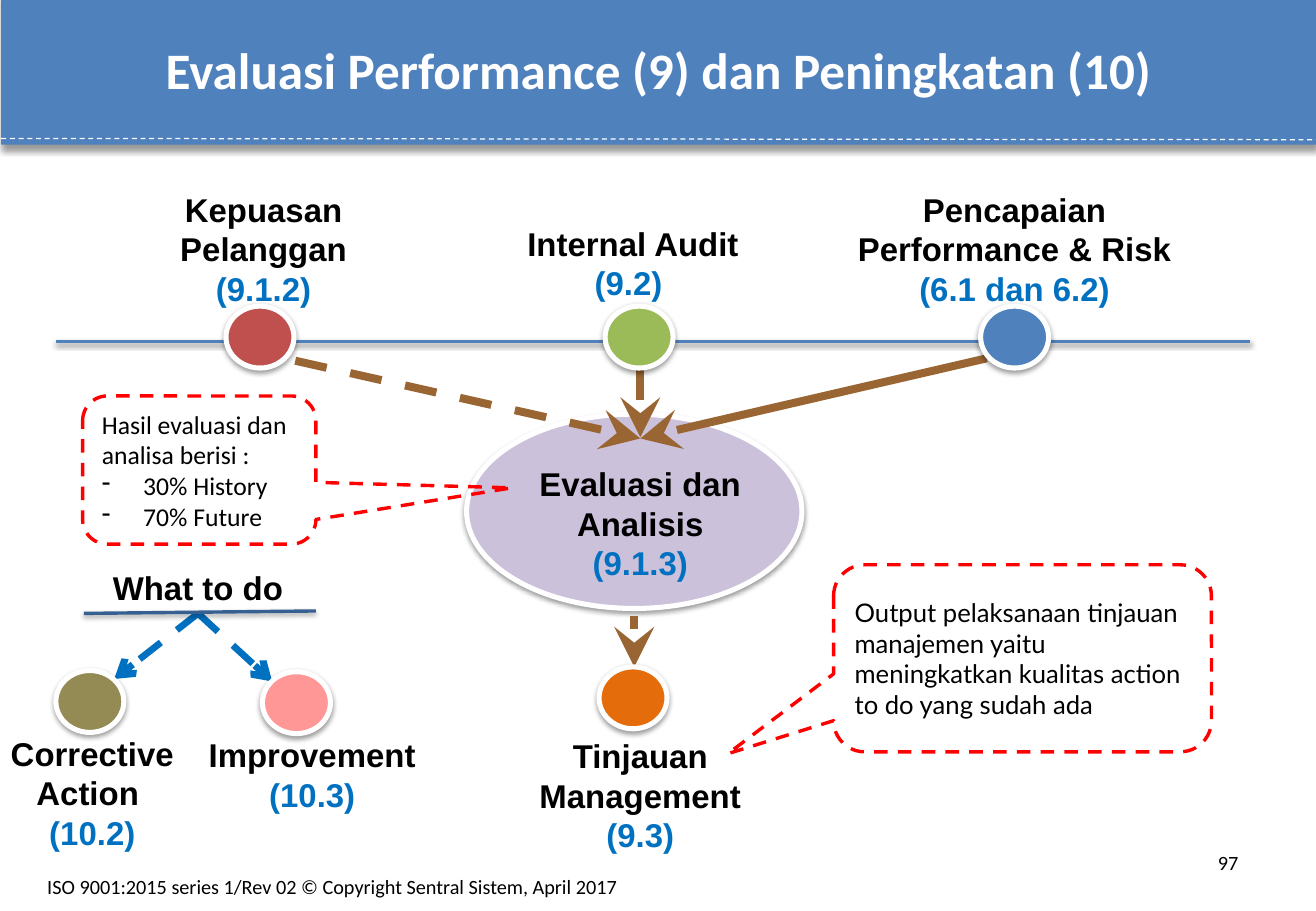
from lxml import etree
from pptx import Presentation
from pptx.dml.color import RGBColor
from pptx.enum.dml import MSO_LINE
from pptx.enum.shapes import MSO_CONNECTOR, MSO_SHAPE
from pptx.enum.text import MSO_ANCHOR, MSO_AUTO_SIZE, PP_ALIGN
from pptx.oxml.ns import qn
from pptx.util import Inches, Pt

STRAIGHT = MSO_CONNECTOR.STRAIGHT
OVAL = MSO_SHAPE.OVAL
CALLOUT = MSO_SHAPE.ROUNDED_RECTANGULAR_CALLOUT
DASH = MSO_LINE.DASH
MIDDLE = MSO_ANCHOR.MIDDLE
FIXED = MSO_AUTO_SIZE.NONE
LEFT, CENTER, RIGHT = PP_ALIGN.LEFT, PP_ALIGN.CENTER, PP_ALIGN.RIGHT

BLACK, WHITE, RED = "000000", "FFFFFF", "FF0000"
BLUE, BROWN, AZURE = "4F81BD", "996633", "0070C0"
SOFT = (38, 3.1, 1.6)


def color(code):
    return RGBColor.from_string(code)


def shade(shape, look=None):
    props = shape._element.spPr
    effect = etree.SubElement(props, qn("a:effectLst"))
    if look:
        alpha, blur, dist = look
        outer = etree.SubElement(effect, qn("a:outerShdw"), blurRad=str(Pt(blur)),
                                 dist=str(Pt(dist)), dir="5400000", rotWithShape="0")
        tint = etree.SubElement(outer, qn("a:srgbClr"), val=BLACK)
        etree.SubElement(tint, qn("a:alpha"), val=str(alpha * 1000))


def stroke(shape, code, width, dash=None):
    shape.line.color.rgb = color(code)
    shape.line.width = Pt(width)
    if dash:
        shape.line.dash_style = dash


def write(para, text, size, face, code=BLACK, bold=False):
    run = para.add_run()
    run.text = text
    run.font.size = Pt(size)
    run.font.name = face
    run.font.bold = bold
    run.font.color.rgb = color(code)


def rule(slide, start, end, code, width, dash=None, head=None, scale="med", look=None):
    ends = [Inches(v) for v in start + end]
    line = slide.shapes.add_connector(STRAIGHT, *ends)
    stroke(line, code, width, dash)
    if head:
        etree.SubElement(line.line._get_or_add_ln(), qn("a:tailEnd"),
                         type=head, w=scale, len=scale)
    shade(line, look)


def oval(slide, left, top, width, height, fill):
    shape = slide.shapes.add_shape(OVAL, Inches(left), Inches(top),
                                   Inches(width), Inches(height))
    shape.fill.solid()
    shape.fill.fore_color.rgb = color(fill)
    stroke(shape, WHITE, 3)
    shade(shape, SOFT)


def textbox(slide, left, top, width, height):
    box = slide.shapes.add_textbox(Inches(left), Inches(top),
                                   Inches(width), Inches(height))
    box.text_frame.word_wrap = True
    return box.text_frame


def label(slide, left, top, width, height, name, clause=None):
    frame = textbox(slide, left, top, width, height)
    rows = [(name, BLACK)]
    if clause:
        rows.append((clause, AZURE))
    for i, (text, code) in enumerate(rows):
        para = frame.add_paragraph() if i else frame.paragraphs[0]
        para.alignment = CENTER
        write(para, text, 19.5, "Arial", code, True)


def note(slide, left, top, width, height, tip, face, text, items=()):
    shape = slide.shapes.add_shape(CALLOUT, Inches(left), Inches(top),
                                   Inches(width), Inches(height))
    shape.adjustments[0], shape.adjustments[1] = tip
    shape.fill.background()
    stroke(shape, RED, 2, DASH)
    shape.shadow.inherit = False
    frame = shape.text_frame
    frame.word_wrap = True
    frame.vertical_anchor = MIDDLE
    para = frame.paragraphs[0]
    para.alignment = LEFT
    write(para, text, 15.2, face)
    for item in items:
        para = frame.add_paragraph()
        para.alignment = LEFT
        props = para._p.get_or_add_pPr()
        props.set("marL", str(Inches(0.34)))
        props.set("indent", str(Inches(-0.34)))
        etree.SubElement(props, qn("a:buChar"), char="-")
        write(para, item, 15.2, face)


def small(slide, left, top, width, text, align):
    para = textbox(slide, left, top, width, 0.4).paragraphs[0]
    para.alignment = align
    write(para, text, 12, "Calibri")


def banner(slide, text):
    title = slide.shapes.title
    title.left, title.top = Inches(0.01), Inches(-0.06)
    title.width, title.height = Inches(10.83), Inches(1.25)
    title.fill.solid()
    title.fill.fore_color.rgb = color(BLUE)
    shade(title, (40, 4, 3))
    frame = title.text_frame
    frame.auto_size = FIXED
    frame.vertical_anchor = MIDDLE
    para = frame.paragraphs[0]
    para.alignment = CENTER
    write(para, text, 30.3, "Calibri", WHITE, True)
    rule(slide, (0.01, 1.14), (10.84, 1.15), WHITE, 0.75, DASH)


def main():
    deck = Presentation()
    deck.slide_width, deck.slide_height = Inches(10.83), Inches(7.5)
    slide = deck.slides.add_slide(deck.slide_layouts[5])
    banner(slide, "Evaluasi Performance (9) dan Peningkatan (10)")

    oval(slide, 3.84, 3.41, 2.76, 1.6, "CCC1DA")
    for start, end, dash in [((5.27, 2.98), (5.27, 3.6), None),
                             ((8.12, 2.95), (5.27, 3.61), None),
                             ((2.43, 2.97), (5.27, 3.61), DASH),
                             ((5.22, 5.07), (5.22, 5.49), None)]:
        rule(slide, start, end, BROWN, 4.75, dash, "stealth", "lg")
    for end in [(0.94, 5.59), (2.24, 5.61)]:
        rule(slide, (1.63, 5.05), end, AZURE, 4, DASH, "arrow")

    for spec in [
        (3.35, 1.79, 3.72, 0.76, "Internal Audit", "(9.2) "),
        (6.76, 1.51, 3.18, 1.09, "Pencapaian Performance & Risk", "(6.1 dan 6.2)"),
        (1.15, 1.51, 2.04, 1.09, "Kepuasan Pelanggan", "(9.1.2)"),
        (4.25, 3.77, 2.04, 1.09, "Evaluasi dan Analisis", "(9.1.3)"),
        (4.25, 6.01, 2.04, 1.09, "Tinjauan Management", "(9.3)"),
        (0.61, 4.62, 2.04, 0.43, "What to do"),
        (-0.26, 5.99, 2.04, 1.09, "Corrective Action ", "(10.2)"),
        (1.55, 6, 2.04, 0.76, "Improvement", "(10.3)"),
    ]:
        label(slide, *spec)

    note(slide, 6.86, 4.65, 3.11, 1.54, (-0.78, 0.51), "Lato",
         "Output pelaksanaan tinjauan manajemen yaitu meningkatkan "
         "kualitas action to do yang sudah ada")
    note(slide, 0.68, 3.26, 1.92, 1.22, (1.34, 0.12), "Calibri",
         "Hasil evaluasi dan analisa berisi :", ["30% History", "70% Future"])

    rule(slide, (0.46, 2.81), (10.29, 2.81), BLUE, 2, look=SOFT)
    rule(slide, (0.69, 5.05), (2.6, 5.03), "376092", 2, look=SOFT)
    for left, top, fill in [(1.86, 2.52, "C0504D"), (4.98, 2.52, "9BBB59"),
                            (8.07, 2.52, BLUE), (4.93, 5.49, "E46C0A"),
                            (0.46, 5.52, "948A54"), (2.16, 5.53, "FF9797")]:
        oval(slide, left, top, 0.56, 0.51, fill)

    small(slide, 0.29, 7.15, 5.99,
          "ISO 9001:2015 series 1/Rev 02 © Copyright Sentral Sistem, April 2017", LEFT)
    small(slide, 7.76, 6.95, 2.53, "97", RIGHT)
    deck.save("out.pptx")


if __name__ == "__main__":
    main()
